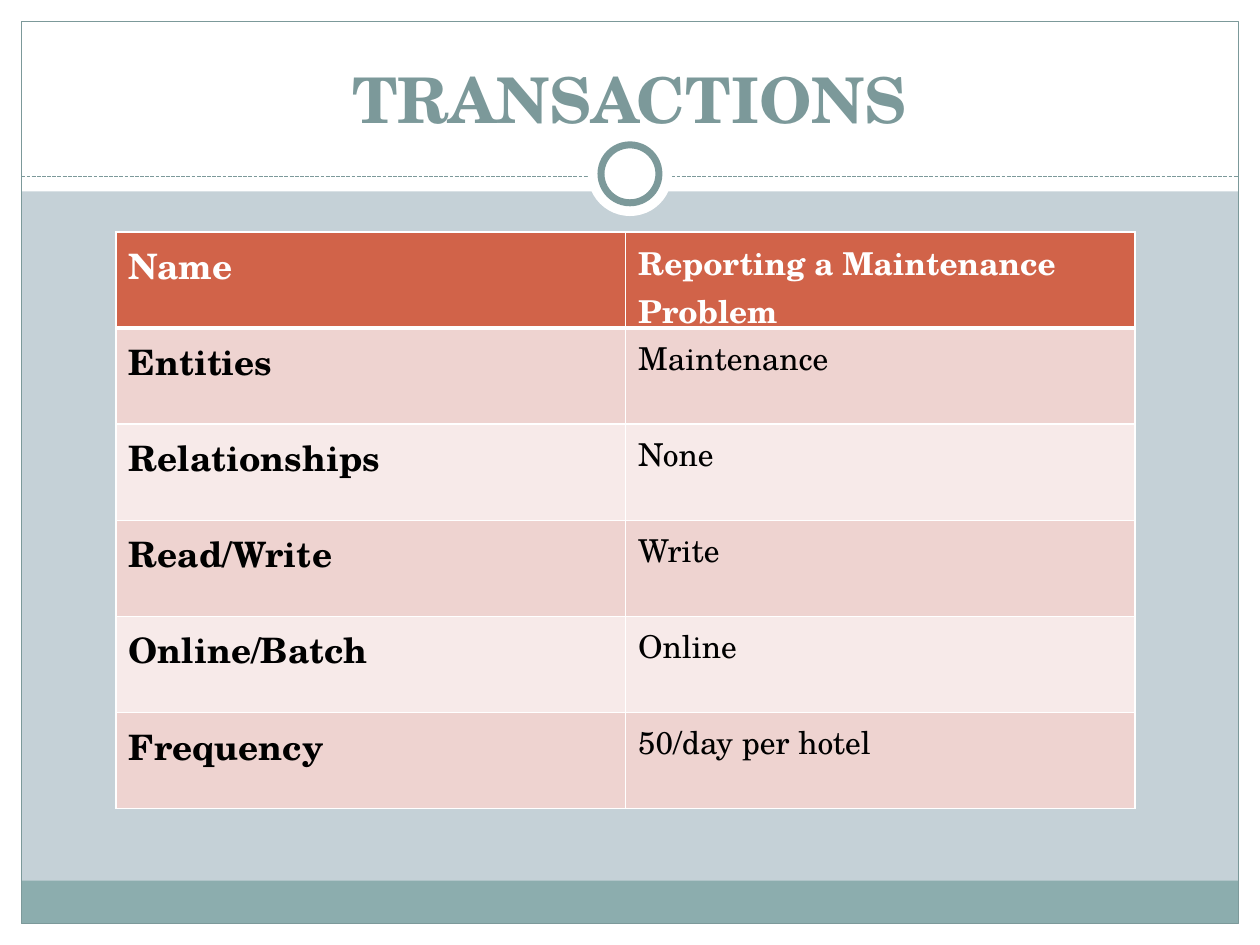
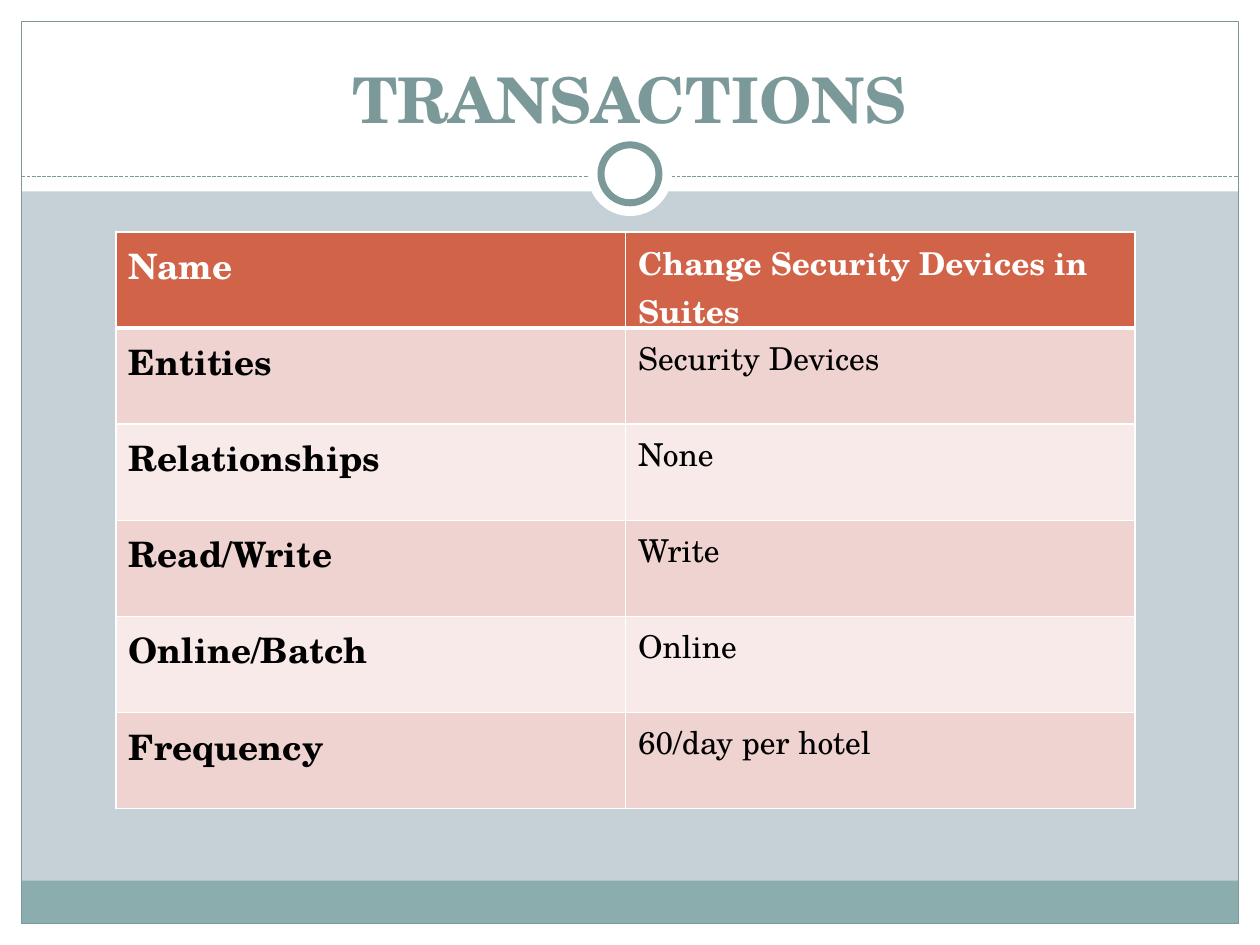
from lxml import etree
from pptx import Presentation, util as u
from pptx.dml.color import RGBColor
from pptx.enum import dml, shapes, text
from pptx.oxml import ns

COLORS = {
    "page": "C5D1D7", "white": "FFFFFF", "teal": "7C999A", "footer": "8CADAE",
    "header": "D16349", "odd": "EED3D0", "even": "F7EAE9", "black": "000000",
}
FONT = "TeX Gyre Schola"
WIDTH, HEIGHT = 10, 7.5
MARGIN = 0.17
HEADER_HEIGHT = 1.52
FOOTER_HEIGHT = 0.34
RULE_TOP = 1.4
RING_CENTER = 1.38
LABELS = ("Name", "Entities", "Relationships", "Read/Write", "Online/Batch", "Frequency")
TRANSACTIONS = (
    ("Reporting a Maintenance Problem", "Maintenance", "None", "Write", "Online",
     "50/day per hotel"),
    ("Change Security Devices in Suites", "Security Devices", "None", "Write", "Online",
     "60/day per hotel"),
)


def color(name):
    return RGBColor.from_string(COLORS[name])


def inches(box):
    return [u.Inches(length) for length in box]


def add_panel(page, kind, box, fill=None, line=None, weight=0.75):
    panel = page.shapes.add_shape(kind, *inches(box))
    panel.shadow.inherit = False
    if fill:
        panel.fill.solid()
        panel.fill.fore_color.rgb = color(fill)
    else:
        panel.fill.background()
    if line:
        panel.line.color.rgb = color(line)
        panel.line.width = u.Pt(weight)
    else:
        panel.line.fill.background()


def add_span(para, words, size, ink, bold):
    span = para.add_run()
    span.text = words
    span.font.name = FONT
    span.font.size = u.Pt(size)
    span.font.bold = bold
    span.font.color.rgb = color(ink)


def add_circle(page, diameter, **style):
    box = ((WIDTH - diameter) / 2, RING_CENTER - diameter / 2, diameter, diameter)
    add_panel(page, shapes.MSO_SHAPE.OVAL, box, **style)


def add_rule(page, left, top, width):
    rule = page.shapes.add_connector(
        shapes.MSO_CONNECTOR.STRAIGHT, *inches((left, top, left + width, top)))
    rule.line.color.rgb = color("teal")
    rule.line.width = u.Pt(0.75)
    rule.line.dash_style = dml.MSO_LINE.SQUARE_DOT
    etree.SubElement(rule._element.spPr, ns.qn("a:effectLst"))


def add_backdrop(page, box):
    left, top, width, height = box
    right, bottom = left + width, top + height
    inner = width - 2 * MARGIN
    rectangle = shapes.MSO_SHAPE.RECTANGLE
    page.background.fill.solid()
    page.background.fill.fore_color.rgb = color("page")
    for band in (
        (left, bottom - MARGIN, width, MARGIN),
        (left, top, width, HEADER_HEIGHT),
        (left, top, MARGIN, height),
        (right - MARGIN, top, MARGIN, height),
    ):
        add_panel(page, rectangle, band, fill="white")
    footer_top = bottom - MARGIN - FOOTER_HEIGHT
    add_panel(page, rectangle, (left + MARGIN, footer_top, inner, FOOTER_HEIGHT), fill="footer")
    add_panel(page, rectangle, (left + MARGIN, top + MARGIN, inner, height - 2 * MARGIN),
              line="teal")
    add_rule(page, left + MARGIN, top + RULE_TOP, inner)
    add_circle(page, 0.67, fill="white")
    add_circle(page, 0.46, fill="white", line="teal", weight=4)


def add_title(page, box, words):
    frame = page.shapes.add_textbox(*inches(box)).text_frame
    frame.word_wrap = True
    frame.vertical_anchor = text.MSO_ANCHOR.BOTTOM
    frame.margin_bottom = 0
    para = frame.paragraphs[0]
    para.alignment = text.PP_ALIGN.CENTER
    add_span(para, words, 36, "teal", True)


def add_borders(cell, weights):
    properties = cell._tc.get_or_add_tcPr()
    for side, weight in weights.items():
        border = etree.SubElement(properties, ns.qn(f"a:ln{side}"), w=str(u.Pt(weight)))
        solid = etree.SubElement(border, ns.qn("a:solidFill"))
        etree.SubElement(solid, ns.qn("a:srgbClr"), val=COLORS["white"])


def add_transaction_table(page, box, values):
    rows = list(zip(LABELS, values))
    table = page.shapes.add_table(len(rows), 2, *inches(box)).table
    for row_index, row in enumerate(rows):
        is_header = row_index == 0
        fill = "header" if is_header else "odd" if row_index % 2 else "even"
        weights = {"L": 1, "R": 1, "T": 3 if row_index == 1 else 1, "B": 3 if is_header else 1}
        for column_index, words in enumerate(row):
            is_label = column_index == 0
            cell = table.cell(row_index, column_index)
            add_borders(cell, weights)
            cell.fill.solid()
            cell.fill.fore_color.rgb = color(fill)
            add_span(cell.text_frame.paragraphs[0], words, 20 if is_label else 18,
                     "white" if is_header else "black", is_header or is_label)


def add_transaction_page(deck, values):
    page = deck.slides.add_slide(deck.slide_layouts[6])
    add_backdrop(page, (0, 0, WIDTH, HEIGHT))
    add_title(page, (0.33, 0.25, 9.33, 0.83), "TRANSACTIONS")
    add_transaction_table(page, (0.92, 1.84, 8.09, 4.58), values)


def main():
    deck = Presentation()
    deck.slide_width, deck.slide_height = inches((WIDTH, HEIGHT))
    for values in TRANSACTIONS:
        add_transaction_page(deck, values)
    deck.save("out.pptx")


if __name__ == "__main__":
    main()
